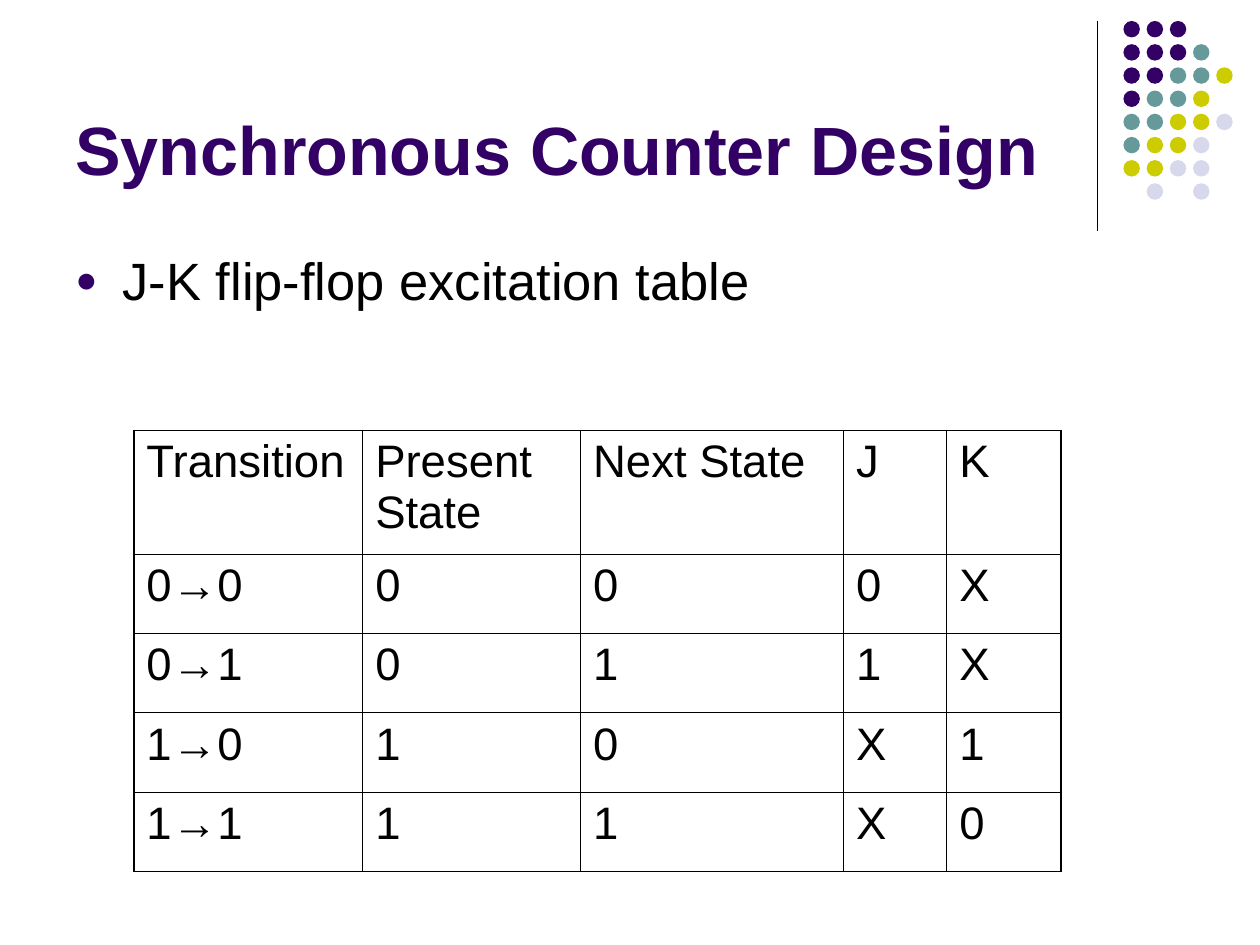
from lxml import etree
from pptx import Presentation
from pptx.dml.color import RGBColor
from pptx.enum import shapes, text
from pptx.oxml.ns import qn
from pptx.util import Pt

BLACK = RGBColor(0, 0, 0)
PURPLE = RGBColor(0x33, 0x00, 0x66)
TEAL = RGBColor(0x66, 0x99, 0x99)
LIME = RGBColor(0xCC, 0xCC, 0x00)
PALE = RGBColor(0xD8, 0xD8, 0xEC)


def style(para, size, color, bold=False):
    font = para.font
    font.name, font.size, font.bold = "Arial", Pt(size), bold
    font.color.rgb = color


def border(cell, side, width):
    """Add one cell edge; call in the order L, R, T, B."""
    line = etree.Element(qn("a:ln" + side), w=str(Pt(width)))
    fill = etree.SubElement(line, qn("a:solidFill"))
    etree.SubElement(fill, qn("a:srgbClr"), val=str(BLACK))
    cell._tc.get_or_add_tcPr().insert("LRTB".index(side), line)


prs = Presentation()
prs.slide_width, prs.slide_height = Pt(720), Pt(540)
slide = prs.slides.add_slide(prs.slide_layouts[6])

# Corner ornament: a rule and a grid of dots
rule = slide.shapes.add_connector(
    shapes.MSO_CONNECTOR.STRAIGHT, Pt(627), Pt(12), Pt(627), Pt(132))
rule.line.color.rgb = BLACK
rule.line.width = Pt(0.75)
etree.SubElement(rule._element.spPr, qn("a:effectLst"))

dots = ["PPP", "PPPT", "PPTTL", "PTTL", "TTLLW", "TLLW", "LLWW", " W W"]
hues = {"P": PURPLE, "T": TEAL, "L": LIME, "W": PALE}
for row, marks in enumerate(dots):
    for col, mark in enumerate(marks):
        if mark == " ":
            continue
        dot = slide.shapes.add_shape(
            shapes.MSO_SHAPE.OVAL, Pt(642 + 13.25 * col),
            Pt(12 + 13.25 * row), Pt(9.4), Pt(9.4))
        dot.shadow.inherit = False
        dot.fill.solid()
        dot.fill.fore_color.rgb = hues[mark]
        dot.line.fill.background()

# Title
title = slide.shapes.add_textbox(Pt(36), Pt(9.5), Pt(594), Pt(102)).text_frame
title.word_wrap = True
title.vertical_anchor = text.MSO_ANCHOR.BOTTOM
title.text = "Synchronous Counter Design"
style(title.paragraphs[0], 39, PURPLE, True)

# Bullet
body = slide.shapes.add_textbox(Pt(36), Pt(135.5), Pt(648), Pt(347)).text_frame
body.word_wrap = True
body.margin_top = Pt(6.5)
body.text = "J-K flip-flop excitation table"
para = body.paragraphs[0]
props = para._p.get_or_add_pPr()
props.set("marL", str(Pt(27)))
props.set("indent", str(Pt(-27)))
tint = etree.SubElement(props, qn("a:buClr"))
etree.SubElement(tint, qn("a:srgbClr"), val=str(PURPLE))
etree.SubElement(props, qn("a:buSzPct"), val="70000")
etree.SubElement(props, qn("a:buFont"), typeface="Arial")
etree.SubElement(props, qn("a:buChar"), char="●")
style(para, 30, BLACK)

# Excitation table
data = [
    ["Transition", "Present State", "Next State", "J", "K"],
    ["0→0", "0", "0", "0", "X"],
    ["0→1", "0", "1", "1", "X"],
    ["1→0", "1", "0", "X", "1"],
    ["1→1", "1", "1", "X", "0"],
]
widths = [130.75, 124.5, 150.25, 59, 65.25]
heights = [70.5] + [45.4] * 4
frame = slide.shapes.add_table(
    len(data), len(widths), Pt(76.5), Pt(246),
    Pt(sum(widths)), Pt(sum(heights)))
table = frame.table
table.first_row = table.horz_banding = False
for col, width in zip(table.columns, widths):
    col.width = Pt(width)
for row, height in zip(table.rows, heights):
    row.height = Pt(height)

last = len(data) - 1
for r, line in enumerate(data):
    for c, word in enumerate(line):
        cell = table.cell(r, c)
        cell.text = word
        style(cell.text_frame.paragraphs[0], 26, BLACK)
        cell.fill.background()
        outer = {"L": c == 0, "R": c == last, "T": r == 0, "B": r == last}
        for side, edge in outer.items():
            border(cell, side, 1.08 if edge else 0.45)

prs.save("out.pptx")
